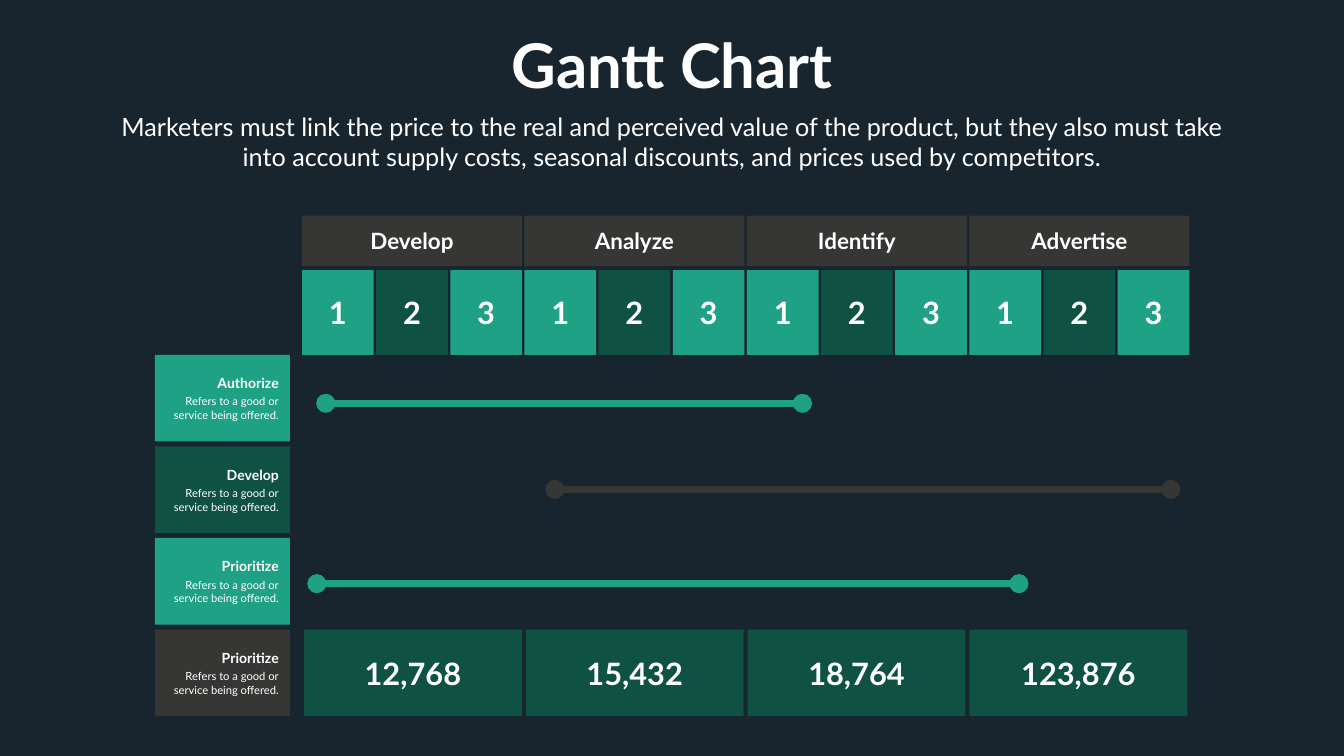
from dataclasses import dataclass

from lxml.etree import SubElement
from pptx import Presentation
from pptx.dml.color import RGBColor
from pptx.enum.shapes import MSO_CONNECTOR, MSO_SHAPE
from pptx.enum.text import MSO_ANCHOR, PP_ALIGN
from pptx.oxml.ns import qn
from pptx.util import Inches, Pt

NIGHT = RGBColor(0x18, 0x24, 0x2E)
TEAL = RGBColor(0x1E, 0xA1, 0x85)
FOREST = RGBColor(0x0F, 0x51, 0x42)
GRAPHITE = RGBColor(0x36, 0x37, 0x35)
WHITE = RGBColor(0xFF, 0xFF, 0xFF)

FONT = "Lato"
SLIDE_WIDTH, SLIDE_HEIGHT = 26.66, 15
DOT_SIZE = 0.38
MONTHS_PER_PHASE = 3

PHASES = ["Develop", "Analyze", "Identify", "Advertise"]
TOTALS = ["12,768", "15,432", "18,764", "123,876"]
TASKS = [("Authorize", TEAL), ("Develop", FOREST),
         ("Prioritize", TEAL), ("Prioritize", GRAPHITE)]
TASK_NOTE = ["Refers to a good or", "service being offered."]
# Start month, end month, row, colour
BARS = [(0.32, 6.75, 0.53, TEAL), (3.41, 11.72, 1.47, GRAPHITE),
        (0.2, 9.67, 2.5, TEAL)]


@dataclass
class Box:
    left: float
    top: float
    width: float
    height: float

    def inches(self):
        return [Inches(n) for n in (self.left, self.top, self.width, self.height)]

    def columns(self, count, gap):
        width = (self.width - gap * (count - 1)) / count
        return [Box(self.left + i * (width + gap), self.top, width, self.height)
                for i in range(count)]

    def rows(self, count, gap):
        height = (self.height - gap * (count - 1)) / count
        return [Box(self.left, self.top + i * (height + gap), self.width, height)
                for i in range(count)]


def share(left, top, width, height):
    """Box given in percent of the slide's size."""
    return Box(left * SLIDE_WIDTH / 100, top * SLIDE_HEIGHT / 100,
               width * SLIDE_WIDTH / 100, height * SLIDE_HEIGHT / 100)


def write(frame, text, size, bold=False, align=PP_ALIGN.CENTER, before=0, more=False):
    para = frame.add_paragraph() if more else frame.paragraphs[0]
    para.alignment = align
    para.space_before = Pt(before)
    span = para.add_run()
    span.text = text
    span.font.name = FONT
    span.font.size = Pt(size)
    span.font.bold = bold
    span.font.color.rgb = WHITE


def add_filled(page, kind, box, color):
    shape = page.shapes.add_shape(kind, *box.inches())
    shape.shadow.inherit = False
    shape.fill.solid()
    shape.fill.fore_color.rgb = color
    shape.line.fill.background()
    shape.text_frame.vertical_anchor = MSO_ANCHOR.MIDDLE
    return shape


def add_tiles(page, boxes, labels, colors, size):
    for box, label, color in zip(boxes, labels, colors):
        tile = add_filled(page, MSO_SHAPE.RECTANGLE, box, color)
        write(tile.text_frame, label, size, bold=True)


def add_text(page, box, text, wrap=True, **style):
    frame = page.shapes.add_textbox(*box.inches()).text_frame
    frame.word_wrap = wrap
    write(frame, text, **style)


def add_heading(page, title_box, intro_box):
    add_text(page, title_box, "Gantt Chart", wrap=False, size=88, bold=True)
    add_text(page, intro_box,
             "Marketers must link the price to the real and perceived value of the "
             "product, but they also must take into account supply costs, seasonal "
             "discounts, and prices used by competitors.", size=36)


def add_timeline(page, phase_box, month_box):
    count = len(PHASES)
    add_tiles(page, phase_box.columns(count, 0.05), PHASES, [GRAPHITE] * count, 32)
    months = month_box.columns(count * MONTHS_PER_PHASE, 0.05)
    add_tiles(page, months, ["1", "2", "3"] * count, [TEAL, FOREST, TEAL] * count, 44)


def add_tasks(page, box):
    for row, (name, color) in zip(box.rows(len(TASKS), 0.1), TASKS):
        frame = add_filled(page, MSO_SHAPE.RECTANGLE, row, color).text_frame
        frame.margin_right = Inches(0.22)
        write(frame, name, 20, bold=True, align=PP_ALIGN.RIGHT)
        for before, line in zip((5, 0), TASK_NOTE):
            write(frame, line, 16, align=PP_ALIGN.RIGHT, before=before, more=True)


def add_bars(page, box):
    month = box.width / (len(PHASES) * MONTHS_PER_PHASE)
    row_height = box.height / len(BARS)
    for start, end, row, color in BARS:
        ends = [box.left + start * month, box.left + end * month]
        middle = box.top + row * row_height
        bar = page.shapes.add_connector(
            MSO_CONNECTOR.STRAIGHT, Inches(ends[0]), Inches(middle),
            Inches(ends[1]), Inches(middle))
        bar.line.color.rgb = color
        bar.line.width = Pt(10)
        SubElement(bar._element.spPr, qn("a:effectLst"))
        for x in ends:
            dot = Box(x - DOT_SIZE / 2, middle - DOT_SIZE / 2, DOT_SIZE, DOT_SIZE)
            add_filled(page, MSO_SHAPE.OVAL, dot, color)


def add_totals(page, box):
    count = len(TOTALS)
    add_tiles(page, box.columns(count, 0.08), TOTALS, [FOREST] * count, 44)


def main():
    deck = Presentation()
    deck.slide_width, deck.slide_height = Inches(SLIDE_WIDTH), Inches(SLIDE_HEIGHT)
    page = deck.slides.add_slide(deck.slide_layouts[6])
    page.background.fill.solid()
    page.background.fill.fore_color.rgb = NIGHT

    add_heading(page, share(37.4, 3.27, 25.24, 10.53), share(8.33, 14.33, 83.31, 8.73))
    add_bars(page, share(22.47, 46.93, 66.2, 36.33))
    add_timeline(page, share(22.47, 28.53, 66.02, 6.67), share(22.47, 35.73, 66.02, 11.2))
    add_tasks(page, share(11.52, 46.93, 10.05, 47.8))
    add_totals(page, share(22.62, 83.27, 65.72, 11.47))
    deck.save("out.pptx")


if __name__ == "__main__":
    main()
